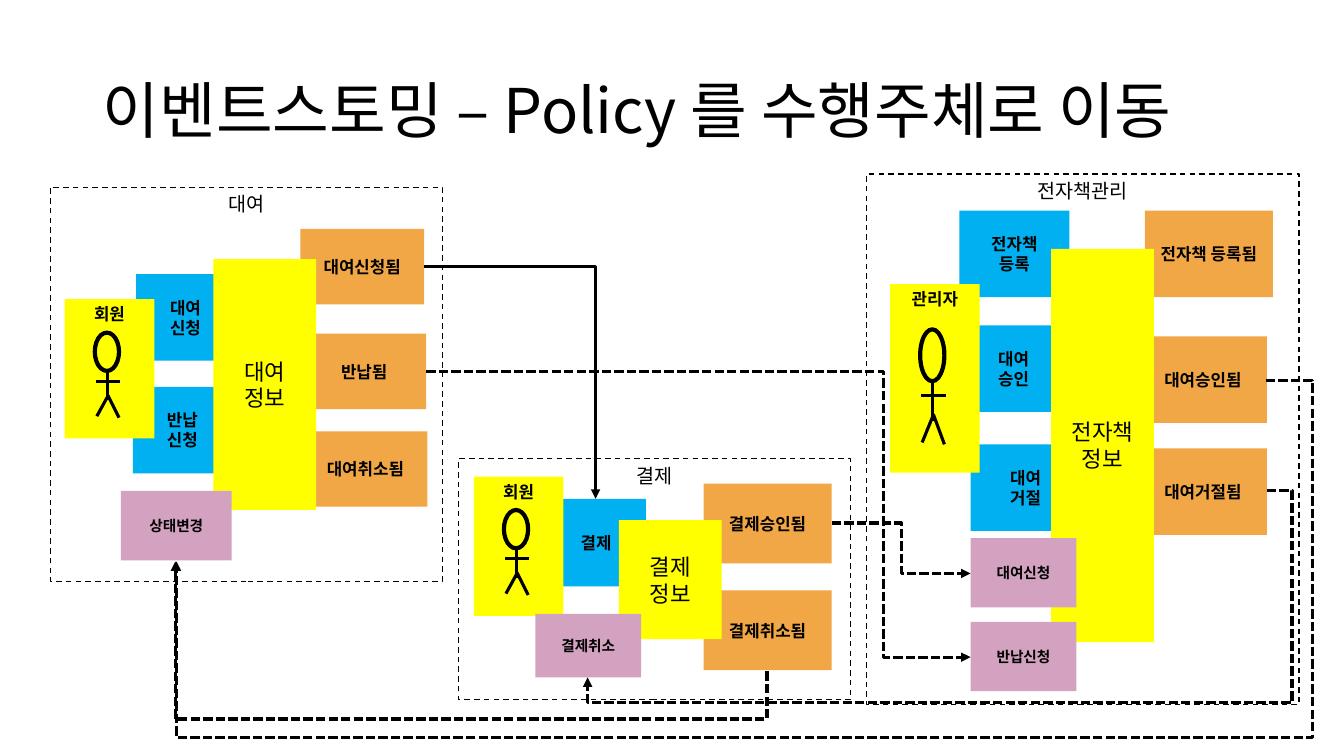
from dataclasses import dataclass

import pptx
import pptx.dml.color
import pptx.enum.dml
import pptx.enum.shapes
import pptx.enum.text
import pptx.oxml.ns
import pptx.util
from lxml import etree

Cm, Pt = pptx.util.Cm, pptx.util.Pt
RGBColor = pptx.dml.color.RGBColor
Dash = pptx.enum.dml.MSO_LINE
Shape = pptx.enum.shapes.MSO_SHAPE
Link = pptx.enum.shapes.MSO_CONNECTOR
Anchor = pptx.enum.text.MSO_ANCHOR
Align = pptx.enum.text.PP_ALIGN
qn = pptx.oxml.ns.qn

FONT = "Noto Sans CJK KR"
BLACK = RGBColor(0x00, 0x00, 0x00)
ORANGE = RGBColor(0xF1, 0xA7, 0x46)
BLUE = RGBColor(0x00, 0xB0, 0xF0)
YELLOW = RGBColor(0xFF, 0xFF, 0x00)
PINK = RGBColor(0xD4, 0xA2, 0xC1)


@dataclass
class Box:
    text: str
    x: float
    y: float
    w: float
    h: float


@dataclass
class Style:
    size: float
    bold: bool = False
    fill: RGBColor | None = None
    anchor: Anchor = Anchor.MIDDLE


@dataclass
class Flow:
    x1: float
    y1: float
    x2: float
    y2: float
    bends: int
    adjust: tuple[float, ...] = ()
    dashed: bool = True
    rotation: int = 0


EVENT = Style(12, True, ORANGE)
COMMAND = Style(12, True, BLUE)
ACTOR = Style(12, True, YELLOW, Anchor.TOP)
AGGREGATE = Style(16, False, YELLOW)
CONTEXT = Style(14, anchor=Anchor.TOP)
POLICY = Style(10.5, True, PINK)

TITLE = Box("이벤트스토밍 – Policy 를 수행주체로 이동", 2.34, 1.02, 30.18, 3.68)
EVENTS = [
    Box("전자책 등록됨", 28.85, 5.31, 3.23, 2.18),
    Box("대여승인됨", 28.7, 8.48, 3.23, 2.18),
    Box("대여거절됨", 28.7, 11.3, 3.23, 2.18),
    Box("대여신청됨", 7.57, 5.77, 3.12, 1.9),
    Box("반납됨", 7.62, 8.41, 3.12, 1.9),
    Box("대여취소됨", 7.65, 10.87, 3.12, 1.9),
    Box("결제승인됨", 17.73, 12.19, 3.23, 2.01),
    Box("결제취소됨", 17.73, 14.88, 3.23, 2.01),
]
COMMANDS = [
    Box("전자책\n등록", 24.18, 5.31, 2.77, 2.18),
    Box("대여\n승인", 24.16, 8.2, 2.77, 2.18),
    Box("대여\n거절", 24.46, 11.2, 2.77, 2.18),
    Box("대여\n신청", 3.43, 6.91, 2.49, 2.18),
    Box("반납\n신청", 3.35, 9.75, 2.49, 2.18),
    Box("결제", 13.77, 12.57, 2.51, 2.21),
]
ACTORS = [
    Box("회원", 1.63, 7.54, 2.26, 3.51),
    Box("회원", 11.94, 12.01, 2.26, 3.51),
    Box("관리자", 22.43, 7.16, 2.26, 4.75),
]
AGGREGATES = [
    Box("결제\n정보", 15.6, 13.11, 2.59, 3),
    Box("전자책\n정보", 26.49, 6.27, 2.59, 9.91),
    Box("대여\n정보", 5.38, 6.53, 2.59, 6.32),
]
CONTEXTS = [
    Box("대여", 1.27, 4.72, 9.88, 9.93),
    Box("결제", 11.56, 11.56, 9.88, 6.07),
    Box("전자책관리", 21.84, 4.39, 10.9, 13.36),
]
POLICIES = [
    Box("대여신청", 24.46, 13.56, 2.67, 1.75),
    Box("반납신청", 24.46, 15.67, 2.67, 1.75),
    Box("상태변경", 3.05, 12.37, 2.79, 1.75),
    Box("결제취소", 13.49, 15.47, 2.67, 1.6),
]
FLOWS = [
    Flow(10.69, 6.71, 15.01, 12.57, 2, dashed=False),
    Flow(20.96, 13.18, 24.46, 14.45, 3, (0.5,)),
    Flow(10.74, 9.37, 24.46, 16.56, 3, (0.84,)),
    Flow(31.9, 9.58, 4.45, 14.15, 4, (-0.043, 1.971)),
    Flow(31.93, 12.37, 14.81, 17.07, 4, (-0.037, 1.136)),
    Flow(13.26, 8.08, 10.49, 22.99, 3, (-0.432,), rotation=90),
]
# Limbs: x offsets in cm, y as shares of the actor's height
LIMBS = [
    (0.79, 0.59, 1.4, 0.59),
    (1.07, 0.515, 1.07, 0.725),
    (1.07, 0.705, 0.81, 0.84),
    (1.09, 0.69, 1.37, 0.85),
]


def write(tf, text: str, size: float, bold: bool, align: Align) -> None:
    tf.word_wrap = True
    tf.text = text
    for p in tf.paragraphs:
        p.alignment = align
        p.font.size = Pt(size)
        p.font.bold = bold
        p.font.color.rgb = BLACK
        p.font.name = FONT
        etree.SubElement(p.font._element, qn("a:ea"), typeface=FONT)


def add_box(shapes, box: Box, style: Style):
    sp = shapes.add_shape(Shape.RECTANGLE, Cm(box.x), Cm(box.y), Cm(box.w), Cm(box.h))
    sp.shadow.inherit = False
    if style.fill is None:
        sp.fill.background()
        sp.line.color.rgb = BLACK
        sp.line.width = Pt(1)
        sp.line.dash_style = Dash.DASH
    else:
        sp.fill.solid()
        sp.fill.fore_color.rgb = style.fill
        sp.line.fill.background()
    sp.text_frame.vertical_anchor = style.anchor
    write(sp.text_frame, box.text, style.size, style.bold, Align.CENTER)
    return sp


def add_line(shapes, kind: Link, x1: float, y1: float, x2: float, y2: float):
    line = shapes.add_connector(kind, Cm(x1), Cm(y1), Cm(x2), Cm(y2))
    line.line.color.rgb = BLACK
    line.line.width = Pt(2.25)
    etree.SubElement(line._element.spPr, qn("a:effectLst"))
    return line


def add_actor(shapes, box: Box) -> None:
    group = shapes.add_group_shape().shapes
    add_box(group, box, ACTOR)
    head = group.add_shape(Shape.OVAL, Cm(box.x + 0.76), Cm(box.y + 0.24 * box.h),
                           Cm(0.61), Cm(0.275 * box.h))
    head.shadow.inherit = False
    head.fill.background()
    head.line.color.rgb = BLACK
    head.line.width = Pt(3)
    for x1, y1, x2, y2 in LIMBS:
        add_line(group, Link.STRAIGHT, box.x + x1, box.y + y1 * box.h,
                 box.x + x2, box.y + y2 * box.h)


def add_flow(shapes, flow: Flow) -> None:
    line = add_line(shapes, Link.ELBOW, flow.x1, flow.y1, flow.x2, flow.y2)
    if flow.dashed:
        line.line.dash_style = Dash.SQUARE_DOT
    spPr = line._element.spPr
    etree.SubElement(spPr.find(qn("a:ln")), qn("a:tailEnd"), type="triangle")
    if flow.rotation:
        spPr.find(qn("a:xfrm")).set("rot", str(flow.rotation * 60000))
    # Route of the elbow
    geom = spPr.find(qn("a:prstGeom"))
    geom.set("prst", f"bentConnector{flow.bends}")
    guides = geom.find(qn("a:avLst"))
    for i, value in enumerate(flow.adjust, 1):
        etree.SubElement(guides, qn("a:gd"), name=f"adj{i}", fmla=f"val {round(value * 100000)}")


def main() -> None:
    prs = pptx.Presentation()
    prs.slide_width, prs.slide_height = Cm(33.87), Cm(19.05)
    shapes = prs.slides.add_slide(prs.slide_layouts[6]).shapes

    # Sticky notes, from back to front
    for boxes, style in ((EVENTS, EVENT), (COMMANDS, COMMAND)):
        for box in boxes:
            add_box(shapes, box, style)
    for box in ACTORS:
        add_actor(shapes, box)
    for boxes, style in ((AGGREGATES, AGGREGATE), (CONTEXTS, CONTEXT), (POLICIES, POLICY)):
        for box in boxes:
            add_box(shapes, box, style)

    # Title
    sp = shapes.add_textbox(Cm(TITLE.x), Cm(TITLE.y), Cm(TITLE.w), Cm(TITLE.h))
    sp.text_frame.vertical_anchor = Anchor.MIDDLE
    write(sp.text_frame, TITLE.text, 44, False, Align.LEFT)
    sp.text_frame.paragraphs[0].line_spacing = 0.9

    # Flows between the contexts
    for flow in FLOWS:
        add_flow(shapes, flow)

    prs.save("out.pptx")


if __name__ == "__main__":
    main()
